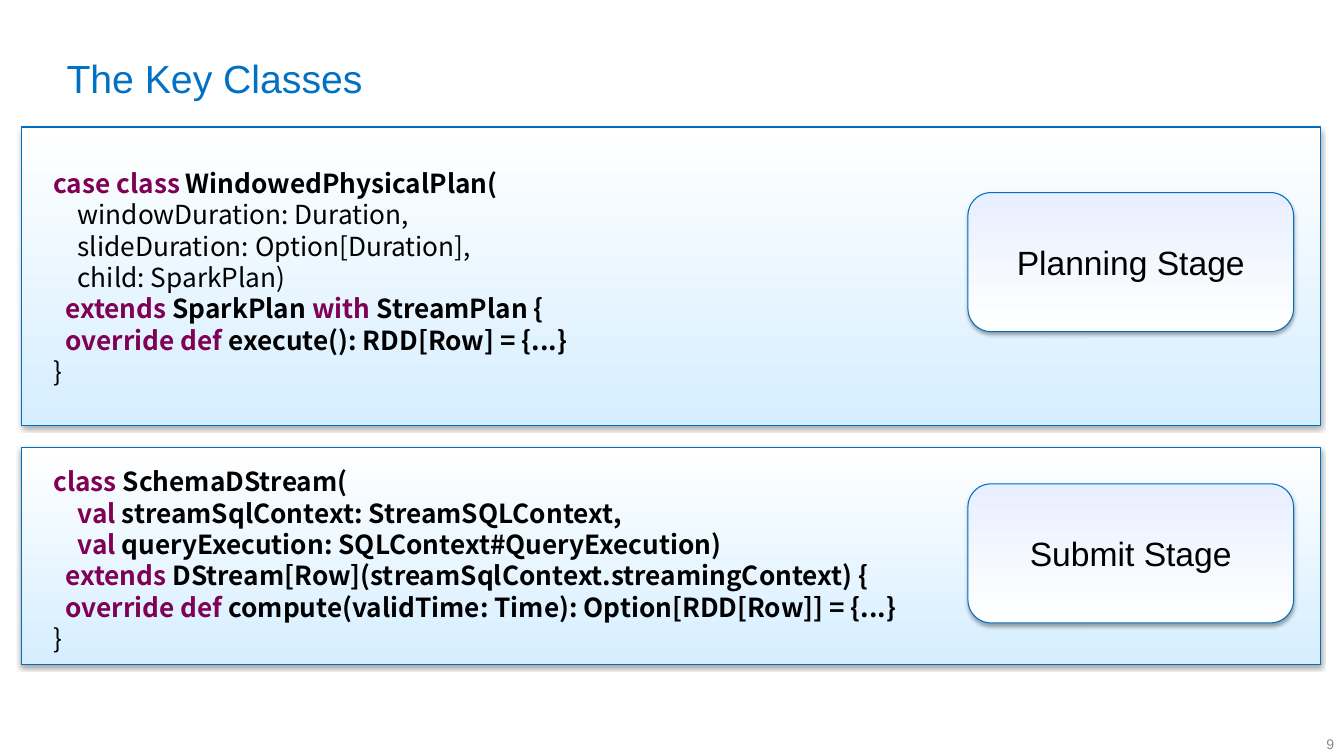
from dataclasses import dataclass

from lxml.etree import SubElement
from pptx import Presentation
from pptx.dml.color import RGBColor
from pptx.enum.shapes import MSO_SHAPE
from pptx.enum.text import MSO_ANCHOR, MSO_AUTO_SIZE, PP_ALIGN
from pptx.oxml.ns import qn
from pptx.util import Inches, Pt

SLIDE_WIDTH, SLIDE_HEIGHT = Inches(13.33), Inches(7.5)


@dataclass(frozen=True)
class Theme:
    """Colours, fonts and type sizes of the deck."""
    title: str = "0071C5"
    keyword: str = "7F0055"
    ink: str = "000000"
    muted: str = "8C8C8C"
    outline: str = "006FC1"
    panel: tuple = ("D6EEFF", "FFFFFF")
    stage: tuple = ("FFFFFF", "E8EFFF")
    sans: str = "Arial"
    code: str = "Noto Sans CJK SC"
    title_size: float = 28
    stage_size: float = 24
    code_size: float = 18.7
    page_size: float = 10
    code_leading: float = 22.4


@dataclass(frozen=True)
class Box:
    """A region in percent of the slide's width and height."""
    left: float
    top: float
    width: float
    height: float

    def inner(self, right, down, width, height):
        """Return a box offset from this one's top left corner."""
        return Box(self.left + right, self.top + down, width, height)

    def place(self):
        """Return left, top, width and height in EMU."""
        return (int(SLIDE_WIDTH * self.left / 100), int(SLIDE_HEIGHT * self.top / 100),
                int(SLIDE_WIDTH * self.width / 100), int(SLIDE_HEIGHT * self.height / 100))


THEME = Theme()
KEYWORD_MARK = "*"
INDENT_STEP = Inches(0.12)
PANEL_LEFT, PANEL_WIDTH = 1.58, 96.7

# Each code line: indent steps, text with keywords between marks.
STAGES = [
    {"name": "Planning Stage", "box": Box(PANEL_LEFT, 16.8, PANEL_WIDTH, 39.47),
     "code_area": (1.65, 4.67, 60.69, 30.67), "stage_down": 8.67,
     "code": [(0, "*case class *WindowedPhysicalPlan("),
              (2, "windowDuration: Duration,"),
              (2, "slideDuration: Option[Duration],"),
              (2, "child: SparkPlan)"),
              (1, "*extends *SparkPlan *with *StreamPlan {"),
              (1, "*override def *execute(): RDD[Row] = {...}"),
              (0, "}")]},
    {"name": "Submit Stage", "box": Box(PANEL_LEFT, 59.2, PANEL_WIDTH, 28.67),
     "code_area": (1.65, 1.73, 87.92, 26.53), "stage_down": 4.8,
     "code": [(0, "*class *SchemaDStream("),
              (2, "*val *streamSqlContext: StreamSQLContext,"),
              (2, "*val *queryExecution: SQLContext#QueryExecution)"),
              (1, "*extends *DStream[Row](streamSqlContext.streamingContext) {"),
              (1, "*override def* compute(validTime: Time): Option[RDD[Row]] = {...}"),
              (0, "}")]},
]


def apply(target, formats):
    """Set every format value on the target."""
    for attribute, value in formats.items():
        setattr(target, attribute, value)


def add_run(paragraph, wording, size, color, font=THEME.sans, bold=False):
    """Append one styled run."""
    run = paragraph.add_run()
    run.text = wording
    apply(run.font, {"size": Pt(size), "name": font, "bold": bold})
    run.font.color.rgb = RGBColor.from_string(color)


def add_label(slide, box, wording, size, color, paragraph_format, frame_format):
    """Place one line of text in the box."""
    frame = slide.shapes.add_textbox(*box.place()).text_frame
    apply(frame, {"word_wrap": True, **frame_format})
    apply(frame.paragraphs[0], paragraph_format)
    add_run(frame.paragraphs[0], wording, size, color)


def add_card(slide, box, outline_form, gradient):
    """Draw a card shaded from bottom to top, with a soft shadow below."""
    card = slide.shapes.add_shape(outline_form, *box.place())
    card.fill.gradient()
    card.fill.gradient_angle = 90
    for stop, color, position in zip(card.fill.gradient_stops, gradient, (0, 1)):
        stop.color.rgb = RGBColor.from_string(color)
        stop.position = position
    card.line.color.rgb = RGBColor.from_string(THEME.outline)
    card.line.width = Pt(0.75)
    card.shadow.inherit = False
    effects = card._element.spPr.find(qn("a:effectLst"))
    shadow = SubElement(effects, qn("a:outerShdw"), blurRad=str(Pt(3.1)),
                        dist=str(Pt(1.8)), dir="5400000", rotWithShape="0")
    tint = SubElement(shadow, qn("a:srgbClr"), val=THEME.ink)
    SubElement(tint, qn("a:alpha"), val="35000")
    return card


def add_code(slide, box, lines):
    """Write code lines; those holding keywords are bold."""
    frame = slide.shapes.add_textbox(*box.place()).text_frame
    apply(frame, {"word_wrap": True, "auto_size": MSO_AUTO_SIZE.SHAPE_TO_FIT_TEXT})
    for number, (indent, line) in enumerate(lines):
        paragraph = frame.add_paragraph() if number else frame.paragraphs[0]
        paragraph.line_spacing = Pt(THEME.code_leading)
        paragraph._p.get_or_add_pPr().set("marL", str(indent * INDENT_STEP))
        for part, wording in enumerate(line.split(KEYWORD_MARK)):
            if wording:
                add_run(paragraph, wording, THEME.code_size,
                        THEME.keyword if part % 2 else THEME.ink,
                        THEME.code, KEYWORD_MARK in line)


def add_stage(slide, box, name):
    """Draw the rounded card that names a stage."""
    card = add_card(slide, box, MSO_SHAPE.ROUNDED_RECTANGLE, THEME.stage)
    card.text_frame.vertical_anchor = MSO_ANCHOR.MIDDLE
    paragraph = card.text_frame.paragraphs[0]
    paragraph.alignment = PP_ALIGN.CENTER
    add_run(paragraph, name, THEME.stage_size, THEME.ink)


def add_panel(slide, box, name, code, code_area, stage_down):
    """Draw a panel with its code and its stage card."""
    add_card(slide, box, MSO_SHAPE.RECTANGLE, THEME.panel)
    add_code(slide, box.inner(*code_area), code)
    add_stage(slide, box.inner(70.44, stage_down, 24.23, 18.4), name)


def build_key_classes(slide):
    """Compose the title, the stage panels and the page number."""
    add_label(slide, Box(4.95, 6.53, 90.02, 16.67), "The Key Classes",
              THEME.title_size, THEME.title, {},
              {"margin_left": 0, "margin_right": 0,
               "margin_top": Inches(0.05), "margin_bottom": 0})
    for stage in STAGES:
        add_panel(slide, **stage)
    add_label(slide, Box(94.97, 96.8, 5.03, 3.2), "9", THEME.page_size, THEME.muted,
              {"alignment": PP_ALIGN.RIGHT}, {"vertical_anchor": MSO_ANCHOR.MIDDLE})


deck = Presentation()
apply(deck, {"slide_width": SLIDE_WIDTH, "slide_height": SLIDE_HEIGHT})
build_key_classes(deck.slides.add_slide(deck.slide_layouts[6]))
deck.save("out.pptx")
